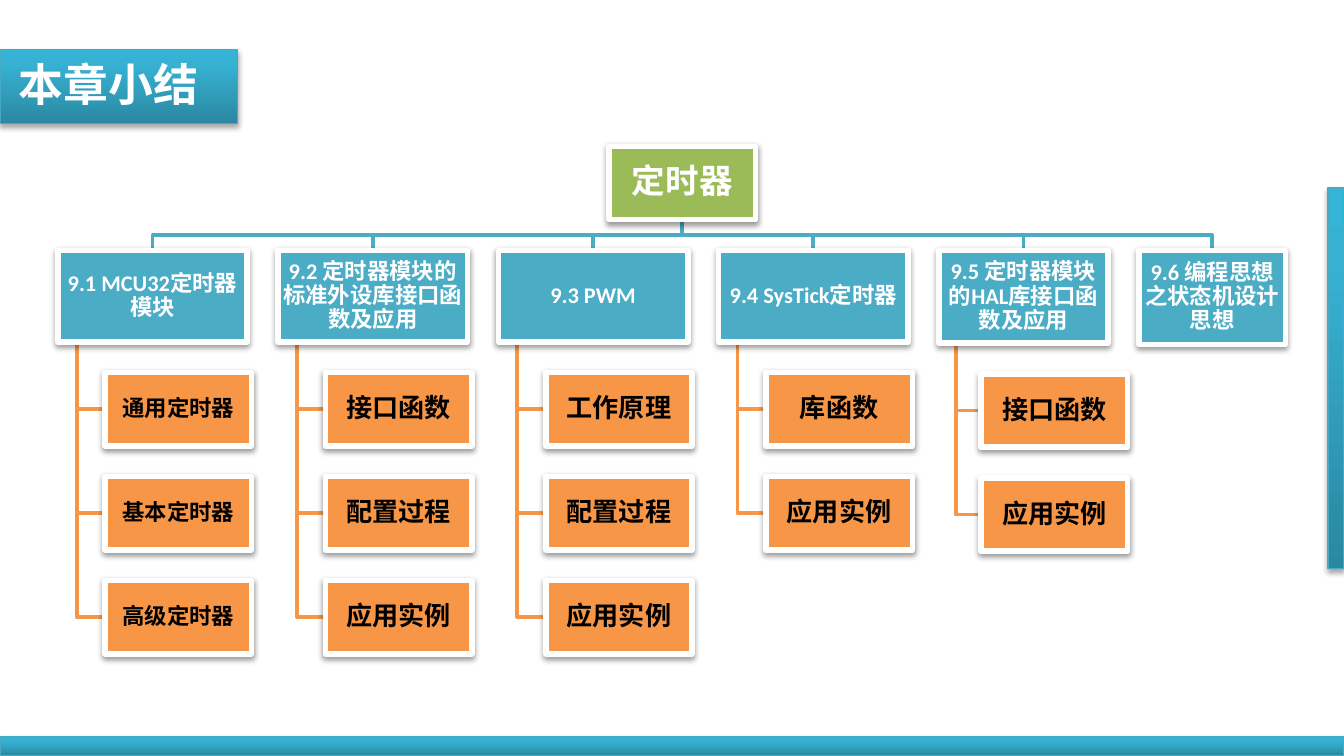
from dataclasses import dataclass

from lxml import etree
from pptx import Presentation
from pptx.dml.color import RGBColor
from pptx.enum.shapes import MSO_SHAPE
from pptx.enum.text import MSO_ANCHOR, PP_ALIGN
from pptx.oxml.ns import qn
from pptx.shapes.autoshape import Shape
from pptx.slide import Slide
from pptx.util import Inches, Pt

RECTANGLE = MSO_SHAPE.RECTANGLE
MIDDLE, TOP = MSO_ANCHOR.MIDDLE, MSO_ANCHOR.TOP
CENTER, LEFT = PP_ALIGN.CENTER, PP_ALIGN.LEFT

WHITE = RGBColor(0xFF, 0xFF, 0xFF)
BLACK = RGBColor(0x00, 0x00, 0x00)
GREEN = RGBColor(0x9B, 0xBB, 0x59)
TEAL = RGBColor(0x4B, 0xAC, 0xC6)
ORANGE = RGBColor(0xF7, 0x96, 0x46)
BAND_EDGE = RGBColor(0x46, 0xAA, 0xC5)
BAND_STOPS = (
    (0, RGBColor(0x2A, 0x88, 0xA2)),
    (80, RGBColor(0x37, 0xB1, 0xD2)),
    (100, RGBColor(0x34, 0xB4, 0xD6)),
)
LATIN_FONT = "Calibri"
CHINESE_FONT = "Noto Sans CJK SC"

SLIDE_WIDTH = Inches(10)
SLIDE_HEIGHT = SLIDE_WIDTH * 9 // 16


def share(percent: float) -> int:
    return round(SLIDE_WIDTH * percent / 100)


CARD_WIDTH = share(10.9)
CARD_HEIGHT = CARD_WIDTH // 2
GAP = round(CARD_WIDTH * 0.21)
TREE_LEFT, TREE_TOP = share(4.3), share(10.9)
CHAPTER_TOP = TREE_TOP + CARD_HEIGHT + GAP
LEAF_INDENT, SPINE_INDENT = 0.25, 0.1


@dataclass(frozen=True)
class Box:
    left: int
    top: int
    width: int
    height: int

    @property
    def center(self) -> int:
        return self.left + self.width // 2

    @property
    def middle(self) -> int:
        return self.top + self.height // 2

    @property
    def bottom(self) -> int:
        return self.top + self.height


@dataclass(frozen=True)
class Chapter:
    title: str
    topics: tuple[str, ...] = ()
    width: float = 14.1
    height: float = 6.8
    topic_size: int = 14


@dataclass(frozen=True)
class Card:
    box: Box
    text: str
    size: int
    fill: RGBColor
    ink: RGBColor


CHAPTERS = (
    Chapter("9.1 MCU32定时器模块", ("通用定时器", "基本定时器", "高级定时器"), topic_size=12),
    Chapter("9.2 定时器模块的标准外设库接口函数及应用", ("接口函数", "配置过程", "应用实例")),
    Chapter("9.3 PWM", ("工作原理", "配置过程", "应用实例")),
    Chapter("9.4 SysTick定时器", ("库函数", "应用实例")),
    Chapter("9.5 定时器模块的HAL库接口函数及应用", ("接口函数", "应用实例"), 12.6, 6.9),
    Chapter("9.6 编程思想之状态机设计思想", width=10.9, height=7),
)


def add_shadow(shape: Shape, opacity: int, distance: float) -> None:
    shape.shadow.inherit = False
    effects = shape._element.spPr.find(qn("a:effectLst"))
    shadow = etree.SubElement(
        effects, qn("a:outerShdw"), blurRad=str(Pt(3.1)), dist=str(Pt(distance)),
        dir="5400000", rotWithShape="0")
    color = etree.SubElement(shadow, qn("a:srgbClr"), val=str(BLACK))
    etree.SubElement(color, qn("a:alpha"), val=str(opacity * 1000))


def add_rectangle(slide: Slide, box: Box, edge: RGBColor, edge_width: float) -> Shape:
    shape = slide.shapes.add_shape(RECTANGLE, box.left, box.top, box.width, box.height)
    shape.line.color.rgb = edge
    shape.line.width = Pt(edge_width)
    return shape


def add_band(slide: Slide, box: Box) -> Shape:
    band = add_rectangle(slide, box, BAND_EDGE, 0.75)
    band.fill.gradient()
    band.fill.gradient_angle = 90
    stops = band._element.spPr.find(".//" + qn("a:gsLst"))
    stops[:] = []
    for position, color in BAND_STOPS:
        stop = etree.SubElement(stops, qn("a:gs"), pos=str(position * 1000))
        etree.SubElement(stop, qn("a:srgbClr"), val=str(color))
    add_shadow(band, 35, 1.8)
    return band


def write(shape: Shape, text: str, size: int, ink: RGBColor, align: PP_ALIGN,
          latin: str = LATIN_FONT) -> None:
    para = shape.text_frame.paragraphs[0]
    para.alignment = align
    span = para.add_run()
    span.text = text
    span.font.size = Pt(size)
    span.font.bold = True
    span.font.color.rgb = ink
    span.font.name = latin
    etree.SubElement(span._r.get_or_add_rPr(), qn("a:ea"), typeface=CHINESE_FONT)


def add_card(slide: Slide, card: Card) -> None:
    shape = add_rectangle(slide, card.box, WHITE, 3)
    shape.fill.solid()
    shape.fill.fore_color.rgb = card.fill
    add_shadow(shape, 38, 1.6)
    frame = shape.text_frame
    frame.word_wrap = True
    frame.vertical_anchor = MIDDLE
    frame.margin_left = frame.margin_right = frame.margin_top = frame.margin_bottom = Inches(0.01)
    write(shape, card.text, card.size, card.ink, CENTER)
    frame.paragraphs[0].line_spacing = 0.9


def add_branch(slide: Slide, points: list[tuple[int, int]], color: RGBColor) -> None:
    builder = slide.shapes.build_freeform(*points[0])
    builder.add_line_segments(points[1:], close=False)
    branch = builder.convert_to_shape()
    branch.fill.background()
    branch.line.color.rgb = color
    branch.line.width = Pt(2)
    branch.shadow.inherit = False


def add_tree(slide: Slide) -> None:
    heads: list[Box] = []
    left = TREE_LEFT
    for chapter in CHAPTERS:
        heads.append(Box(left, CHAPTER_TOP, share(chapter.width), share(chapter.height)))
        left += heads[-1].width + GAP
    root_center = (heads[0].center + heads[-1].center) // 2
    root = Box(root_center - CARD_WIDTH // 2, TREE_TOP, CARD_WIDTH, CARD_HEIGHT)
    cards = [Card(root, "定时器", 18, GREEN, WHITE)]
    rail = root.bottom + GAP // 2

    for chapter, head in zip(CHAPTERS, heads):
        add_branch(slide, [(root.center, root.bottom), (root.center, rail),
                           (head.center, rail), (head.center, head.top)], TEAL)
        cards.append(Card(head, chapter.title, 12, TEAL, WHITE))
        spine = head.left + round(head.width * SPINE_INDENT)
        leaf_left = head.left + round(head.width * LEAF_INDENT)
        for row, topic in enumerate(chapter.topics):
            leaf_top = head.bottom + GAP + row * (CARD_HEIGHT + GAP)
            leaf = Box(leaf_left, leaf_top, CARD_WIDTH, CARD_HEIGHT)
            add_branch(slide, [(spine, head.bottom), (spine, leaf.middle),
                               (leaf.left, leaf.middle)], ORANGE)
            cards.append(Card(leaf, topic, chapter.topic_size, ORANGE, BLACK))

    for card in cards:
        add_card(slide, card)


def add_heading(slide: Slide) -> None:
    banner = add_band(slide, Box(0, share(3.7), share(17.7), share(5.5)))
    frame = banner.text_frame
    frame.word_wrap = False
    frame.vertical_anchor = TOP
    frame.margin_left = Inches(0.14)
    frame.margin_top = Inches(0.05)
    write(banner, "本章小结", 24, WHITE, LEFT, CHINESE_FONT)


def main() -> None:
    deck = Presentation()
    deck.slide_width, deck.slide_height = SLIDE_WIDTH, SLIDE_HEIGHT
    page = deck.slides.add_slide(deck.slide_layouts[6])
    add_band(page, Box(0, SLIDE_HEIGHT - share(1.4), SLIDE_WIDTH, share(1.4)))
    add_band(page, Box(SLIDE_WIDTH - share(1.2), share(14), share(1.2), share(28.3)))
    add_tree(page)
    add_heading(page)
    deck.save("out.pptx")


if __name__ == "__main__":
    main()
